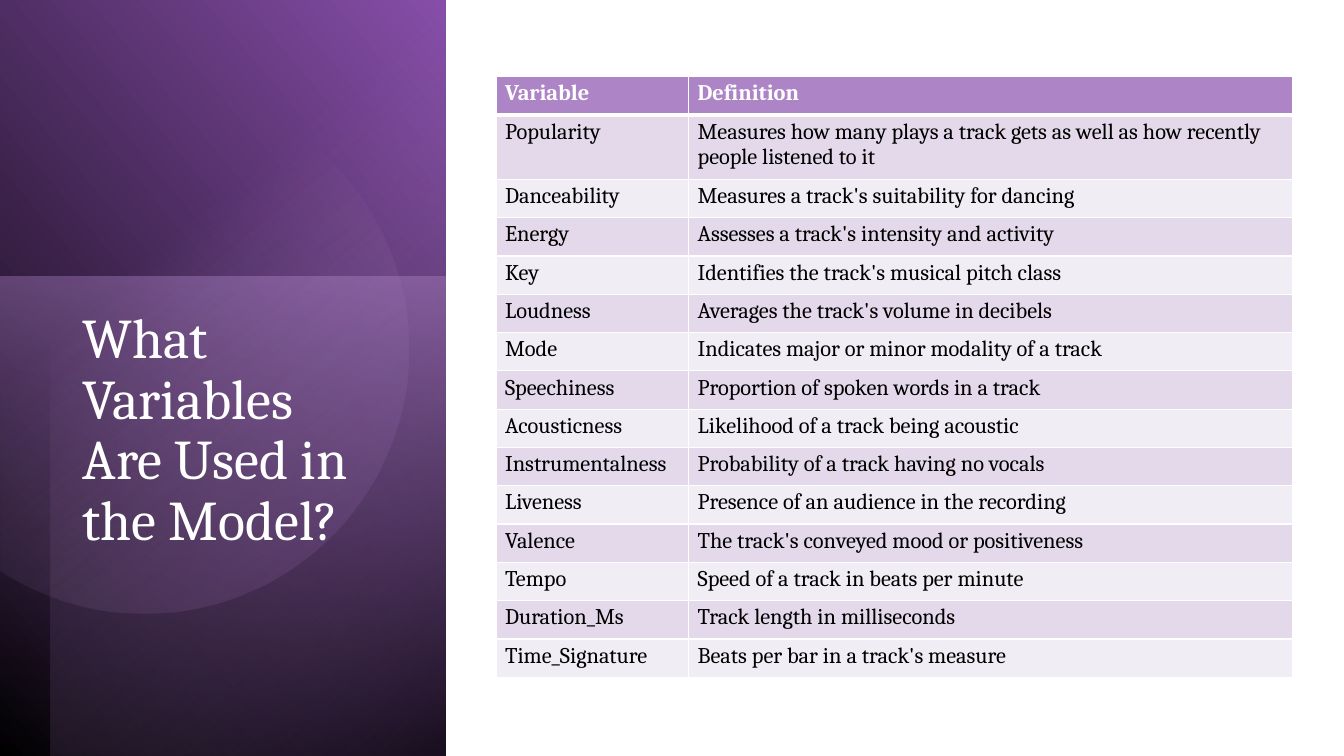
import math
from dataclasses import dataclass

import lxml.etree
import pptx
import pptx.dml.color
import pptx.enum.shapes
import pptx.enum.text
import pptx.oxml.ns
import pptx.util

COLORS = {
    "white": "FFFFFF",
    "black": "000000",
    "lilac": "AD84C6",
    "plum": "5A3471",
    "violet": "874EA9",
    "mauve": "CEB5DD",
    "odd": "E3D9EA",
    "even": "F1EDF5",
}
FONT = "Cambria"
TITLE = "What Variables Are Used in the Model?"
ROWS = [
    ("Variable", "Definition"),
    ("Popularity", "Measures how many plays a track gets as well as how recently people listened to it"),
    ("Danceability", "Measures a track's suitability for dancing"),
    ("Energy", "Assesses a track's intensity and activity"),
    ("Key", "Identifies the track's musical pitch class"),
    ("Loudness", "Averages the track's volume in decibels"),
    ("Mode", "Indicates major or minor modality of a track"),
    ("Speechiness", "Proportion of spoken words in a track"),
    ("Acousticness", "Likelihood of a track being acoustic"),
    ("Instrumentalness", "Probability of a track having no vocals"),
    ("Liveness", "Presence of an audience in the recording"),
    ("Valence", "The track's conveyed mood or positiveness"),
    ("Tempo", "Speed of a track in beats per minute"),
    ("Duration_Ms", "Track length in milliseconds"),
    ("Time_Signature", "Beats per bar in a track's measure"),
]
WIDTHS = (1.91, 5.99)
HEIGHT, TALL = 0.38, 0.64

Inches = pptx.util.Inches
qn = pptx.oxml.ns.qn


@dataclass(frozen=True)
class Stop:
    place: float
    color: str
    alpha: int = 100


@dataclass(frozen=True)
class Blend:
    start: Stop
    end: Stop
    angle: float


@dataclass(frozen=True)
class Panel:
    left: float
    top: float
    width: float
    height: float
    turn: float
    flip: bool
    blend: Blend


@dataclass(frozen=True)
class Disc:
    x: float
    y: float
    radius: float
    sweep: float
    turn: float
    blend: Blend


PANELS = [
    Panel(-1.55, 1.55, 7.52, 4.42, 90, True,
          Blend(Stop(0, "black"), Stop(1, "violet"), 310)),
    Panel(-0.17, 2.91, 4.76, 4.42, 270, False,
          Blend(Stop(0, "lilac", 50), Stop(1, "plum", 0), 190)),
    Panel(-1.29, 1.79, 7.5, 3.92, 270, True,
          Blend(Stop(0, "black", 59), Stop(0.69, "lilac", 0), 220)),
]
DISC = Disc(1.81, 3.93, 2.62, 123, 101.6,
            Blend(Stop(0.39, "mauve", 0), Stop(1, "violet", 26), 310))


def tint(name: str) -> pptx.dml.color.RGBColor:
    return pptx.dml.color.RGBColor.from_string(COLORS[name])


def paint(shape, blend: Blend) -> None:
    shape.shadow.inherit = False
    shape.line.fill.background()
    fill = shape.fill
    fill.gradient()
    fill.gradient_angle = 360 - blend.angle
    for stop, mark in zip((blend.start, blend.end), fill.gradient_stops):
        mark.position = stop.place
        mark.color.rgb = tint(stop.color)
    nodes = shape.element.spPr.iter(qn("a:srgbClr"))
    for stop, node in zip((blend.start, blend.end), list(nodes)):
        if stop.alpha < 100:
            lxml.etree.SubElement(node, qn("a:alpha")).set("val", str(stop.alpha * 1000))


def add_panel(slide, panel: Panel) -> None:
    shape = slide.shapes.add_shape(
        pptx.enum.shapes.MSO_SHAPE.RECTANGLE,
        Inches(panel.left), Inches(panel.top), Inches(panel.width), Inches(panel.height))
    shape.rotation = panel.turn
    if panel.flip:
        shape.element.spPr.find(qn("a:xfrm")).set("flipH", "1")
    paint(shape, panel.blend)


def add_disc(slide, disc: Disc) -> None:
    points = []
    for step in range(121):
        angle = math.radians(disc.sweep * (step / 60 - 1) - disc.turn)
        points.append((Inches(disc.x + disc.radius * math.cos(angle)),
                       Inches(disc.y + disc.radius * math.sin(angle))))
    pen = slide.shapes.build_freeform(*points[0])
    pen.add_line_segments(points[1:], close=True)
    shape = pen.convert_to_shape()
    shape.rotation = disc.turn
    paint(shape, disc.blend)


def style(part, size: int, color: str, bold: bool = False) -> None:
    for run in part.runs:
        run.font.name = FONT
        run.font.size = pptx.util.Pt(size)
        run.font.bold = bold
        run.font.color.rgb = tint(color)


def add_title(slide) -> None:
    box = slide.shapes.add_textbox(Inches(0.72), Inches(3.03), Inches(3.15), Inches(3.36))
    frame = box.text_frame
    frame.word_wrap = True
    frame.vertical_anchor = pptx.enum.text.MSO_ANCHOR.TOP
    frame.text = TITLE
    frame.paragraphs[0].line_spacing = 0.9
    style(frame.paragraphs[0], 40, "white")


def add_edge(cell, side: str, index: int, width: float) -> None:
    line = lxml.etree.Element(qn(f"a:ln{side}"), w=str(pptx.util.Pt(width)))
    fill = lxml.etree.SubElement(line, qn("a:solidFill"))
    lxml.etree.SubElement(fill, qn("a:srgbClr")).set("val", COLORS["white"])
    cell._tc.get_or_add_tcPr().insert(index, line)


def fill_cell(cell, text: str, row: int) -> None:
    head = row == 0
    cell.margin_left = cell.margin_right = Inches(0.09)
    cell.margin_top = cell.margin_bottom = Inches(0.04)
    cell.fill.solid()
    cell.fill.fore_color.rgb = tint("lilac" if head else "odd" if row % 2 else "even")
    cell.text_frame.text = text
    style(cell.text_frame.paragraphs[0], 16, "white" if head else "black", head)
    for index, side in enumerate("LRTB"):
        thick = (side == "B" and head) or (side == "T" and row == 1)
        add_edge(cell, side, index, 3 if thick else 1)


def add_grid(slide) -> None:
    total = HEIGHT * (len(ROWS) - 1) + TALL
    grid = slide.shapes.add_table(
        len(ROWS), len(WIDTHS), Inches(4.92), Inches(0.76),
        Inches(sum(WIDTHS)), Inches(total)).table
    for column, width in zip(grid.columns, WIDTHS):
        column.width = Inches(width)
    for row, texts in enumerate(ROWS):
        grid.rows[row].height = Inches(TALL if row == 1 else HEIGHT)
        for column, text in enumerate(texts):
            fill_cell(grid.cell(row, column), text, row)


def main() -> None:
    deck = pptx.Presentation()
    deck.slide_width = Inches(13.33)
    deck.slide_height = Inches(7.5)
    slide = deck.slides.add_slide(deck.slide_layouts[6])
    for panel in PANELS:
        add_panel(slide, panel)
    add_disc(slide, DISC)
    add_title(slide)
    add_grid(slide)
    deck.save("out.pptx")


if __name__ == "__main__":
    main()
